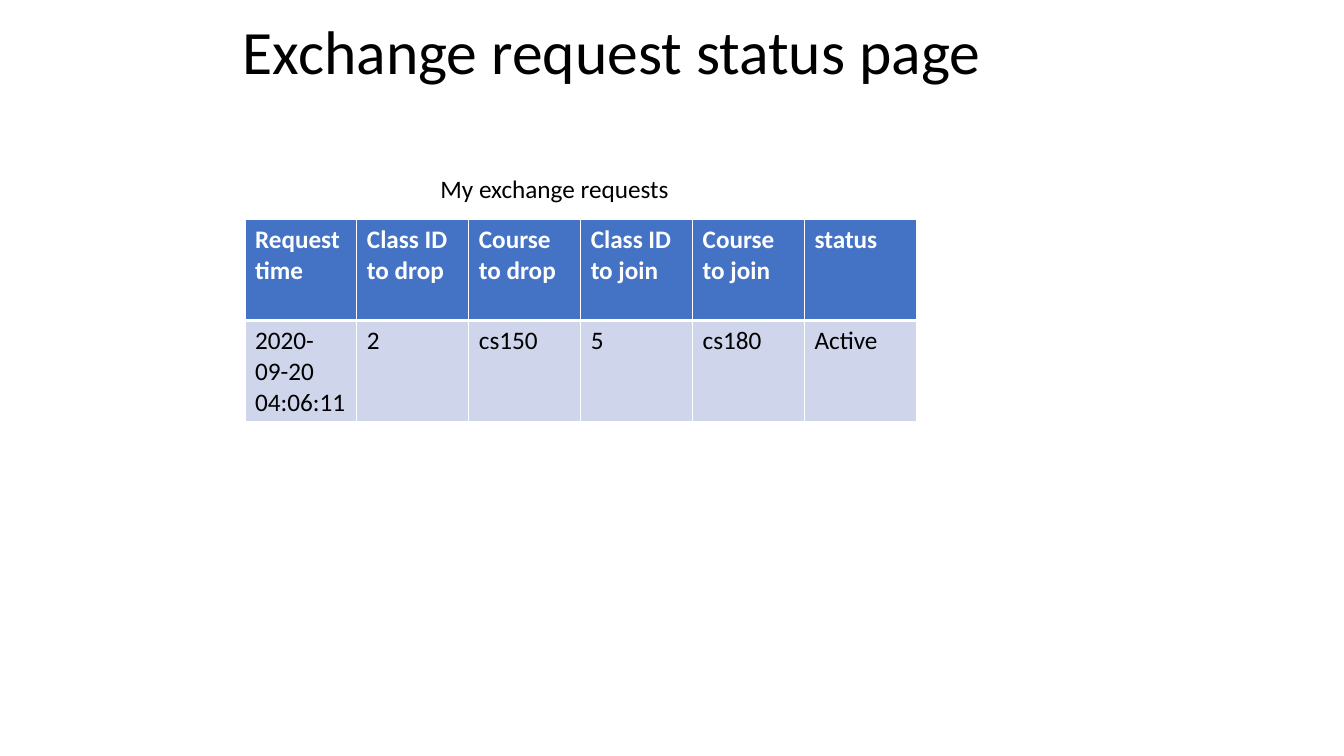
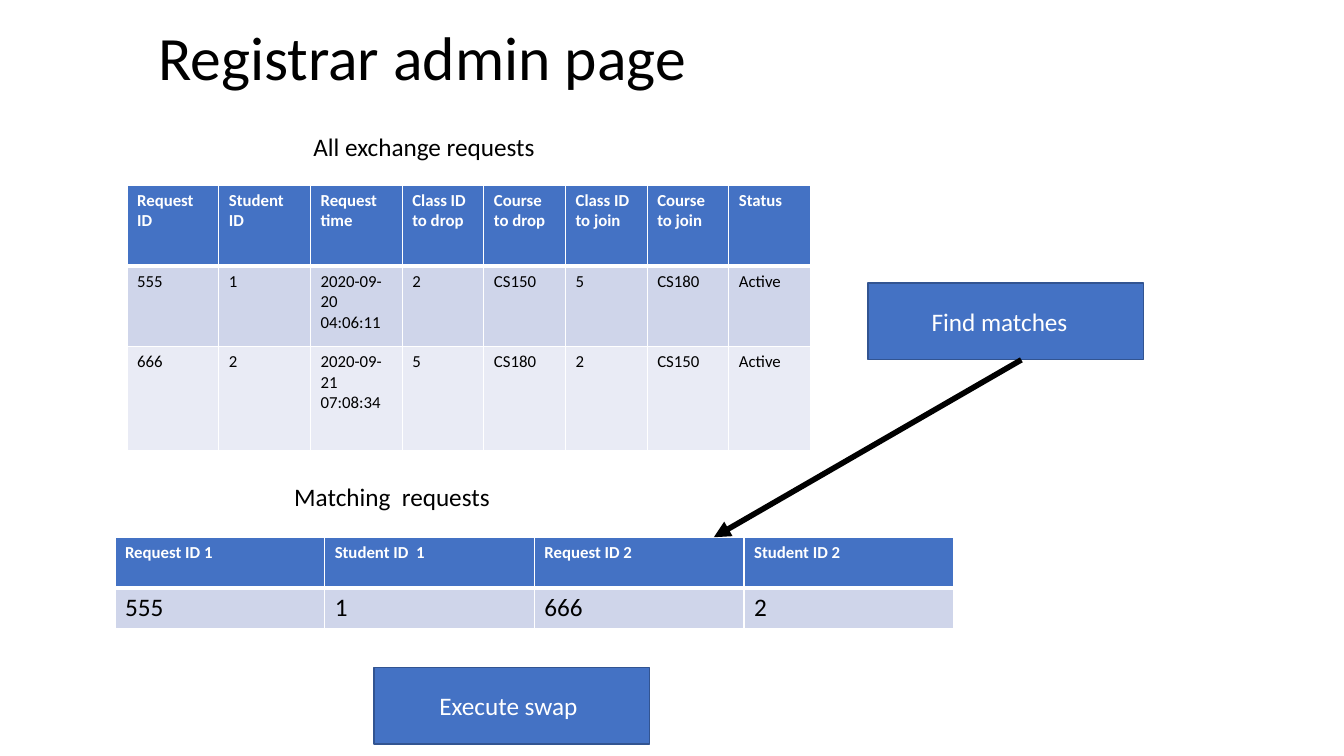
from dataclasses import dataclass

from lxml import etree
from pptx import Presentation
from pptx.dml.color import RGBColor
from pptx.enum.shapes import MSO_CONNECTOR, MSO_SHAPE
from pptx.enum.text import MSO_ANCHOR, PP_ALIGN
from pptx.oxml.ns import qn
from pptx.slide import Slide
from pptx.table import _Cell
from pptx.text.text import TextFrame
from pptx.util import Emu, Pt

RECTANGLE = MSO_SHAPE.RECTANGLE
STRAIGHT = MSO_CONNECTOR.STRAIGHT
TOP, MIDDLE = MSO_ANCHOR.TOP, MSO_ANCHOR.MIDDLE
LEFT, CENTER = PP_ALIGN.LEFT, PP_ALIGN.CENTER

BLACK = RGBColor(0x00, 0x00, 0x00)
WHITE = RGBColor(0xFF, 0xFF, 0xFF)
BLUE = RGBColor(0x44, 0x72, 0xC4)
DARK_BLUE = RGBColor(0x32, 0x54, 0x91)
BANDS = (RGBColor(0xCF, 0xD5, 0xEA), RGBColor(0xE9, 0xEB, 0xF5))

FONT = "Calibri"
EMU_PER_PX = 9144  # 100 px to the inch
SLIDE_WIDTH, SLIDE_HEIGHT = 1333, 750
INSET = 10
TITLE_SIZE, BODY_SIZE, SMALL_SIZE = 44, 18, 12
BUTTON_WIDTH, BUTTON_HEIGHT = 273, 76
CAPTION_WIDTH, CAPTION_HEIGHT = 366, 40


@dataclass(frozen=True)
class Label:
    text: str
    left: int
    top: int


@dataclass(frozen=True)
class Button:
    text: str
    left: int
    top: int
    right_inset: int


@dataclass(frozen=True)
class Grid:
    left: int
    top: int
    columns: list[int]
    heights: list[int]
    rows: list[list[str]]
    header_size: int = SMALL_SIZE
    body_size: int = SMALL_SIZE


STATUS_CAPTION = Label("My exchange requests", 427, 167)
STATUS_GRID = Grid(
    243, 218, [111] * 6, [100] * 2,
    [
        ["Request time", "Class ID to drop", "Course to drop",
         "Class ID to join", "Course to join", "status"],
        ["2020-09-20 04:06:11", "2", "cs150", "5", "cs180", "Active"],
    ],
    header_size=BODY_SIZE, body_size=BODY_SIZE,
)

ADMIN_CAPTIONS = [
    Label("All exchange requests", 301, 125),
    Label("Matching  requests", 282, 473),
]
ADMIN_GRIDS = [
    Grid(
        126, 184, [91] * 3 + [81] * 5, [80, 80, 103],
        [
            ["Request ID", "Student ID", "Request time", "Class ID to drop",
             "Course to drop", "Class ID to join", "Course to join", "Status"],
            ["555", "1", "2020-09-20 04:06:11", "2", "CS150", "5", "CS180", "Active"],
            ["666", "2", "2020-09-21 07:08:34", "5", "CS180", "2", "CS150", "Active"],
        ],
    ),
    Grid(
        114, 533, [208] * 4, [50, 41],
        [
            ["Request ID 1", "Student ID  1", "Request ID 2", "Student ID 2"],
            ["555", "1", "666", "2"],
        ],
        body_size=BODY_SIZE,
    ),
]
ADMIN_BUTTONS = [
    Button("Execute swap", 371, 662, 16),
    Button("Find matches", 861, 281, 22),
]


def px(length: int) -> Emu:
    return Emu(length * EMU_PER_PX)


def write(frame: TextFrame, text: str, *, size: int = BODY_SIZE,
          color: RGBColor = BLACK, bold: bool = False, align: PP_ALIGN = LEFT,
          anchor: MSO_ANCHOR = TOP, spacing: float = 1.0) -> None:
    frame.word_wrap = True
    frame.vertical_anchor = anchor
    paragraph = frame.paragraphs[0]
    paragraph.alignment = align
    paragraph.line_spacing = spacing
    run = paragraph.add_run()
    run.text = text
    run.font.name = FONT
    run.font.size = Pt(size)
    run.font.bold = bold
    run.font.color.rgb = color


def add_title(slide: Slide, text: str, left: int, height: int) -> None:
    box = slide.shapes.add_textbox(px(left), 0, px(900), px(height))
    write(box.text_frame, text, size=TITLE_SIZE, anchor=MIDDLE, spacing=0.9)


def add_caption(slide: Slide, caption: Label) -> None:
    box = slide.shapes.add_textbox(px(caption.left), px(caption.top),
                                   px(CAPTION_WIDTH), px(CAPTION_HEIGHT))
    write(box.text_frame, caption.text)


def set_borders(cell: _Cell, top: int, bottom: int) -> None:
    """Draw white cell borders, with the given top and bottom widths in points."""
    properties = cell._tc.get_or_add_tcPr()
    for tag, width in (("lnL", 1), ("lnR", 1), ("lnT", top), ("lnB", bottom)):
        line = etree.SubElement(properties, qn(f"a:{tag}"), w=str(Pt(width)))
        fill = etree.SubElement(line, qn("a:solidFill"))
        etree.SubElement(fill, qn("a:srgbClr"), val=str(WHITE))


def add_grid(slide: Slide, grid: Grid) -> None:
    frame = slide.shapes.add_table(
        len(grid.rows), len(grid.columns), px(grid.left), px(grid.top),
        px(sum(grid.columns)), px(sum(grid.heights)))
    table = frame.table
    table.horz_banding = False
    for column, width in zip(table.columns, grid.columns):
        column.width = px(width)
    for row, height in zip(table.rows, grid.heights):
        row.height = px(height)
    for row_index, texts in enumerate(grid.rows):
        header = row_index == 0
        for column_index, text in enumerate(texts):
            cell = table.cell(row_index, column_index)
            set_borders(cell, top=3 if row_index == 1 else 1, bottom=3 if header else 1)
            cell.fill.solid()
            cell.fill.fore_color.rgb = BLUE if header else BANDS[(row_index - 1) % 2]
            write(cell.text_frame, text, bold=header,
                  size=grid.header_size if header else grid.body_size,
                  color=WHITE if header else BLACK)


def add_button(slide: Slide, button: Button) -> None:
    shape = slide.shapes.add_shape(RECTANGLE, px(button.left), px(button.top),
                                   px(BUTTON_WIDTH), px(BUTTON_HEIGHT))
    shape.shadow.inherit = False
    shape.fill.solid()
    shape.fill.fore_color.rgb = BLUE
    shape.line.color.rgb = DARK_BLUE
    shape.line.width = Pt(1)
    shape.text_frame.margin_left = px(INSET)
    shape.text_frame.margin_right = px(button.right_inset)
    write(shape.text_frame, button.text, color=WHITE, align=CENTER, anchor=MIDDLE)


def add_arrow(slide: Slide, start: tuple[int, int], end: tuple[int, int]) -> None:
    arrow = slide.shapes.add_connector(STRAIGHT, *map(px, start + end))
    arrow.line.color.rgb = BLACK
    arrow.line.width = Pt(4)
    etree.SubElement(arrow.line._get_or_add_ln(), qn("a:tailEnd"), type="triangle")
    etree.SubElement(arrow._element.spPr, qn("a:effectLst"))


def build_status_slide(slide: Slide) -> None:
    add_title(slide, "Exchange request status page", 231, 109)
    add_grid(slide, STATUS_GRID)
    add_caption(slide, STATUS_CAPTION)


def build_admin_slide(slide: Slide) -> None:
    add_title(slide, "Registrar admin page", 147, 121)
    for caption in ADMIN_CAPTIONS:
        add_caption(slide, caption)
    for grid in ADMIN_GRIDS:
        add_grid(slide, grid)
    for button in ADMIN_BUTTONS:
        add_button(slide, button)
    add_arrow(slide, (1013, 357), (708, 533))


def main() -> None:
    presentation = Presentation()
    presentation.slide_width = px(SLIDE_WIDTH)
    presentation.slide_height = px(SLIDE_HEIGHT)
    blank = presentation.slide_layouts[6]
    for build in (build_status_slide, build_admin_slide):
        build(presentation.slides.add_slide(blank))
    presentation.save("out.pptx")


if __name__ == "__main__":
    main()
